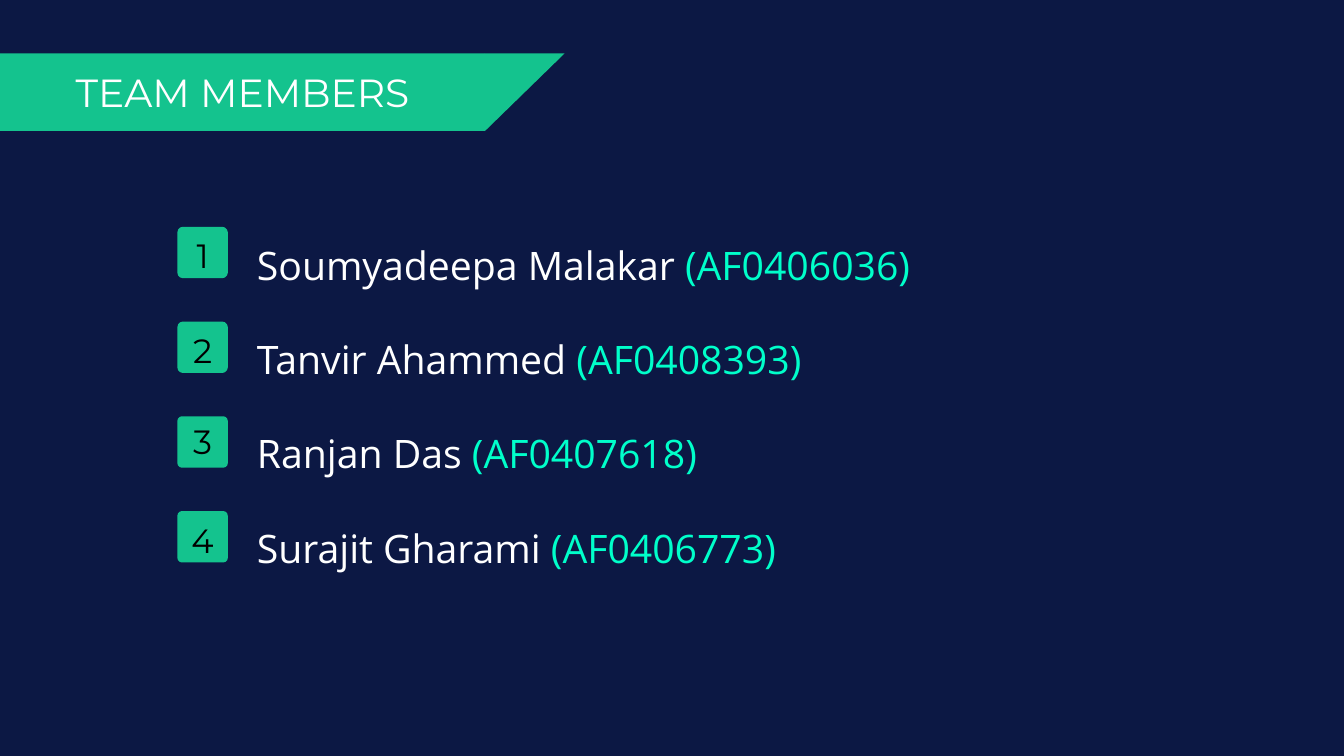
"""Build the team members slide."""
from dataclasses import dataclass

from pptx import Presentation
from pptx.dml.color import RGBColor
from pptx.enum.shapes import MSO_SHAPE
from pptx.enum.text import MSO_ANCHOR, PP_ALIGN
from pptx.util import Inches, Pt

TITLE = "TEAM MEMBERS"
MEMBERS = [
    {"name": "Soumyadeepa Malakar", "code": "AF0406036", "number_drop": 0.03, "corner": 0.11},
    {"name": "Tanvir Ahammed", "code": "AF0408393", "number_drop": 0.03, "corner": 0.11},
    {"name": "Ranjan Das", "code": "AF0407618", "number_drop": 0, "corner": 0.09},
    {"name": "Surajit Gharami", "code": "AF0406773", "number_drop": 0.04, "corner": 0.09},
]


@dataclass(frozen=True)
class Theme:
    background: str = "0C1844"
    green: str = "14C38E"
    mint: str = "00FFCA"
    white: str = "FFFFFF"
    black: str = "000000"
    heading_font: str = "Montserrat"
    body_font: str = "Open Sans"
    large: int = 28
    number: int = 24


THEME = Theme()
BANNER_TOP, BANNER_WIDTH, BANNER_HEIGHT, TIP_WIDTH = 0.53, 4.81, 0.77, 0.79
BADGE_LEFT, BADGE_TOP, BADGE_WIDTH, BADGE_HEIGHT, BADGE_PITCH = 1.76, 2.25, 0.5, 0.51, 0.94


def add_filled(slide, kind, left, top, width, height):
    shape = slide.shapes.add_shape(kind, Inches(left), Inches(top), Inches(width), Inches(height))
    shape.shadow.inherit = False
    shape.fill.solid()
    shape.fill.fore_color.rgb = RGBColor.from_string(THEME.green)
    shape.line.fill.background()
    return shape


def add_text_box(slide, left, top, width, height):
    box = slide.shapes.add_textbox(Inches(left), Inches(top), Inches(width), Inches(height))
    box.text_frame.word_wrap = True
    return box.text_frame


def format_run(run, font, size, color):
    run.font.name = font
    run.font.size = Pt(size)
    run.font.color.rgb = RGBColor.from_string(color)


def set_centred(text_frame, text, size, color):
    text_frame.text = text
    paragraph = text_frame.paragraphs[0]
    paragraph.alignment = PP_ALIGN.CENTER
    format_run(paragraph.runs[0], THEME.heading_font, size, color)


def add_banner(slide):
    banner = add_filled(slide, MSO_SHAPE.RECTANGLE, 0, BANNER_TOP, BANNER_WIDTH, BANNER_HEIGHT)
    banner.text_frame.vertical_anchor = MSO_ANCHOR.MIDDLE
    set_centred(banner.text_frame, TITLE, THEME.large, THEME.white)
    turn_shift = (TIP_WIDTH - BANNER_HEIGHT) / 2
    tip = add_filled(slide, MSO_SHAPE.ISOSCELES_TRIANGLE, BANNER_WIDTH + turn_shift,
                     BANNER_TOP - turn_shift, BANNER_HEIGHT, TIP_WIDTH)
    tip.adjustments[0] = 0
    tip.rotation = 90


def add_names(slide):
    text_frame = add_text_box(slide, 2.45, 1.88, 9.13, 3.74)
    for index, member in enumerate(MEMBERS):
        paragraph = text_frame.add_paragraph() if index else text_frame.paragraphs[0]
        paragraph.line_spacing = 2.0
        for text, color in ((f"{member['name']} ", THEME.white), (f"({member['code']})", THEME.mint)):
            run = paragraph.add_run()
            run.text = text
            format_run(run, THEME.body_font, THEME.large, color)


def add_badges(slide):
    for index, member in enumerate(MEMBERS):
        top = BADGE_TOP + index * BADGE_PITCH
        badge = add_filled(slide, MSO_SHAPE.ROUNDED_RECTANGLE, BADGE_LEFT, top, BADGE_WIDTH, BADGE_HEIGHT)
        badge.adjustments[0] = member["corner"]
        number = add_text_box(slide, BADGE_LEFT, top + member["number_drop"], BADGE_WIDTH, BADGE_WIDTH)
        set_centred(number, str(index + 1), THEME.number, THEME.black)


def main():
    presentation = Presentation()
    presentation.slide_width, presentation.slide_height = Inches(13.33), Inches(7.5)
    slide = presentation.slides.add_slide(presentation.slide_layouts[6])
    slide.background.fill.solid()
    slide.background.fill.fore_color.rgb = RGBColor.from_string(THEME.background)
    add_names(slide)
    add_badges(slide)
    add_banner(slide)
    presentation.save("out.pptx")


if __name__ == "__main__":
    main()
